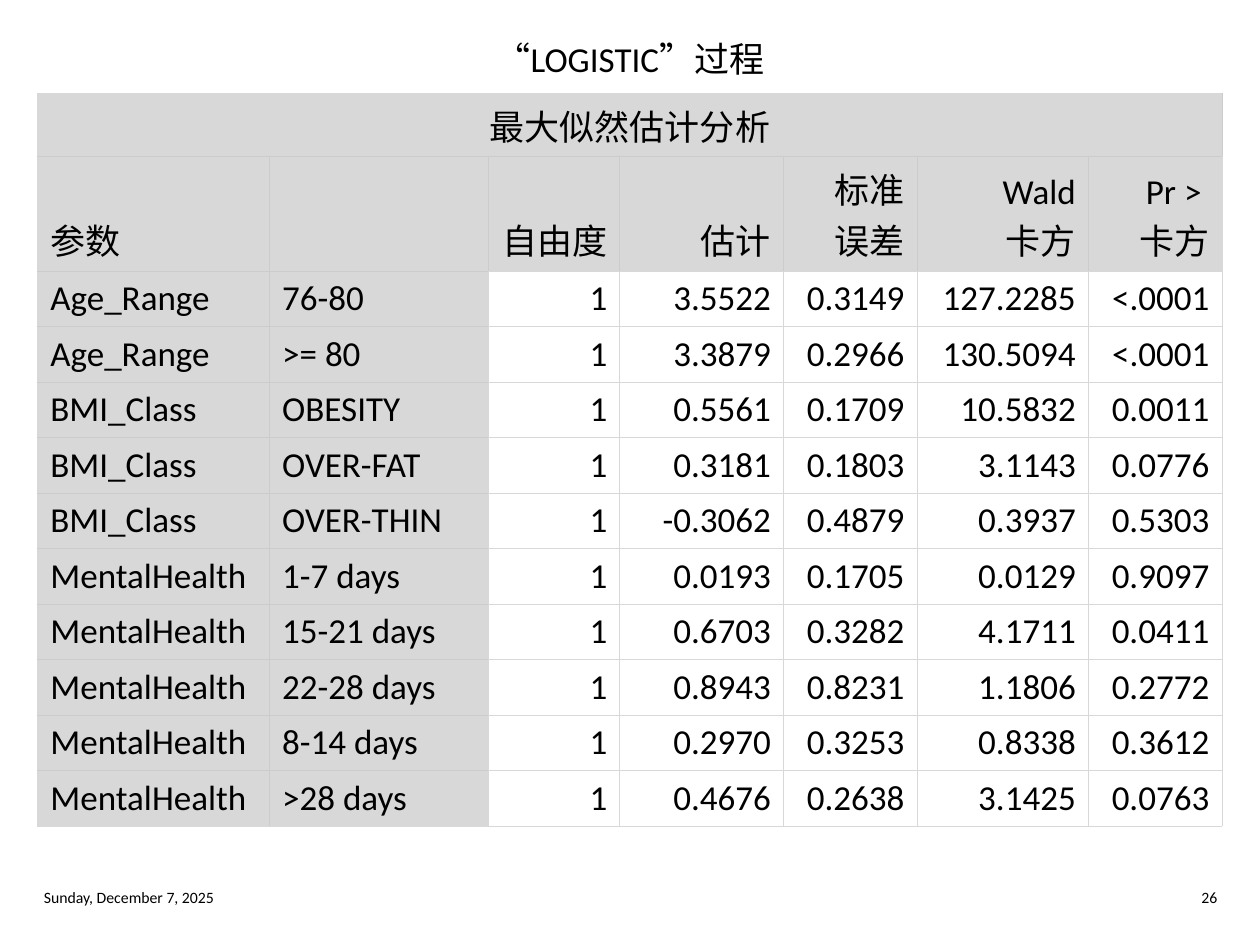
import pptx
import pptx.util
import pptx.dml.color
import pptx.enum.text
import pptx.oxml
import pptx.oxml.ns
from pptx.util import Inches

HUES = {"ink": "000000", "head": "D8D8D8", "edge": "D8D8D8", "inner": "CCCCCC"}
ALIGN = pptx.enum.text.PP_ALIGN
ANCHOR = pptx.enum.text.MSO_ANCHOR

TITLE = "最大似然估计分析"
HEADS = ["参数", "", "自由度", "估计", "标准\n误差", "Wald\n卡方", "Pr > \n卡方"]
ROWS = [
    ["Age_Range", "76-80", "1", "3.5522", "0.3149", "127.2285", "<.0001"],
    ["Age_Range", ">= 80", "1", "3.3879", "0.2966", "130.5094", "<.0001"],
    ["BMI_Class", "OBESITY", "1", "0.5561", "0.1709", "10.5832", "0.0011"],
    ["BMI_Class", "OVER-FAT", "1", "0.3181", "0.1803", "3.1143", "0.0776"],
    ["BMI_Class", "OVER-THIN", "1", "-0.3062", "0.4879", "0.3937", "0.5303"],
    ["MentalHealth", "1-7 days", "1", "0.0193", "0.1705", "0.0129", "0.9097"],
    ["MentalHealth", "15-21 days", "1", "0.6703", "0.3282", "4.1711", "0.0411"],
    ["MentalHealth", "22-28 days", "1", "0.8943", "0.8231", "1.1806", "0.2772"],
    ["MentalHealth", "8-14 days", "1", "0.2970", "0.3253", "0.8338", "0.3612"],
    ["MentalHealth", ">28 days", "1", "0.4676", "0.2638", "3.1425", "0.0763"],
]
WIDTHS = [1.84, 1.74, 1.04, 1.3, 1.06, 1.36, 1.06]
HEIGHTS = [0.42, 0.69] + [0.42] * len(ROWS)


def write(frame, text, size=20, font="Calibri", hue="ink", align=ALIGN.LEFT):
    par = frame.paragraphs[0]
    par.text = text
    par.alignment = align
    for item in [par] + list(par.runs):
        item.font.size = pptx.util.Pt(size)
        item.font.name = font
        item.font.color.rgb = pptx.dml.color.RGBColor.from_string(HUES[hue])


def border(cell, sides):
    props = cell._tc.get_or_add_tcPr()
    for side, hue in sides.items():
        props.append(pptx.oxml.parse_xml(
            f'<a:ln{side} {pptx.oxml.ns.nsdecls("a")} w="6350"><a:solidFill>'
            f'<a:srgbClr val="{HUES[hue]}"/></a:solidFill></a:ln{side}>'))


class Page:
    def __init__(self, deck, size=20):
        self.slide = deck.slides.add_slide(deck.slide_layouts[5])
        self.size = size

    def title(self, text, left, top, width, height):
        shape = self.slide.shapes.title
        shape.left, shape.top = Inches(left), Inches(top)
        shape.width, shape.height = Inches(width), Inches(height)
        frame = shape.text_frame
        frame.word_wrap = True
        frame.auto_size = pptx.enum.text.MSO_AUTO_SIZE.NONE
        frame.vertical_anchor = ANCHOR.TOP
        write(frame, text, size=self.size, align=ALIGN.CENTER)

    def label(self, text, left, top, width, height, **style):
        box = self.slide.shapes.add_textbox(
            Inches(left), Inches(top), Inches(width), Inches(height))
        box.text_frame.word_wrap = True
        box.text_frame.vertical_anchor = ANCHOR.MIDDLE
        write(box.text_frame, text, **style)

    def table(self, data, left, top):
        grid = self.slide.shapes.add_table(
            len(data), len(WIDTHS), Inches(left), Inches(top),
            Inches(sum(WIDTHS)), Inches(sum(HEIGHTS))).table
        grid.first_row = grid.horz_banding = False
        for col, width in zip(grid.columns, WIDTHS):
            col.width = Inches(width)
        for row, height in zip(grid.rows, HEIGHTS):
            row.height = Inches(height)
        for y, line in enumerate(data):
            for x, text in enumerate(line):
                self.cell(grid, y, x, text)
        grid.cell(0, 0).merge(grid.cell(0, len(WIDTHS) - 1))

    def cell(self, grid, y, x, text):
        cell = grid.cell(y, x)
        head = y < 2 or x < 2
        outer = {"L": x == 0, "R": x == len(WIDTHS) - 1,
                 "T": y == 0, "B": y == len(HEIGHTS) - 1}
        border(cell, {side: "inner" if head and not out else "edge"
                      for side, out in outer.items()})
        if head:
            cell.fill.solid()
            cell.fill.fore_color.rgb = pptx.dml.color.RGBColor.from_string(HUES["head"])
        else:
            cell.fill.background()
        cell.vertical_anchor = ANCHOR.BOTTOM if y < 2 else ANCHOR.TOP
        align = ALIGN.CENTER if y == 0 else ALIGN.LEFT if x < 2 else ALIGN.RIGHT
        write(cell.text_frame, text, size=self.size, align=align)


def main():
    deck = pptx.Presentation()
    deck.slide_width, deck.slide_height = Inches(10), Inches(7.5)
    page = Page(deck)
    page.title("“LOGISTIC”过程", 0.25, 0.25, 9.5, 0.42)
    page.table([[TITLE] + [""] * (len(WIDTHS) - 1), HEADS] + ROWS, 0.3, 0.74)
    page.label("Sunday, December 7, 2025", 0.25, 6.99, 2.38, 0.26, size=9)
    page.label("26", 7.38, 6.99, 2.38, 0.26, size=9, align=ALIGN.RIGHT)
    deck.save("out.pptx")


if __name__ == "__main__":
    main()
